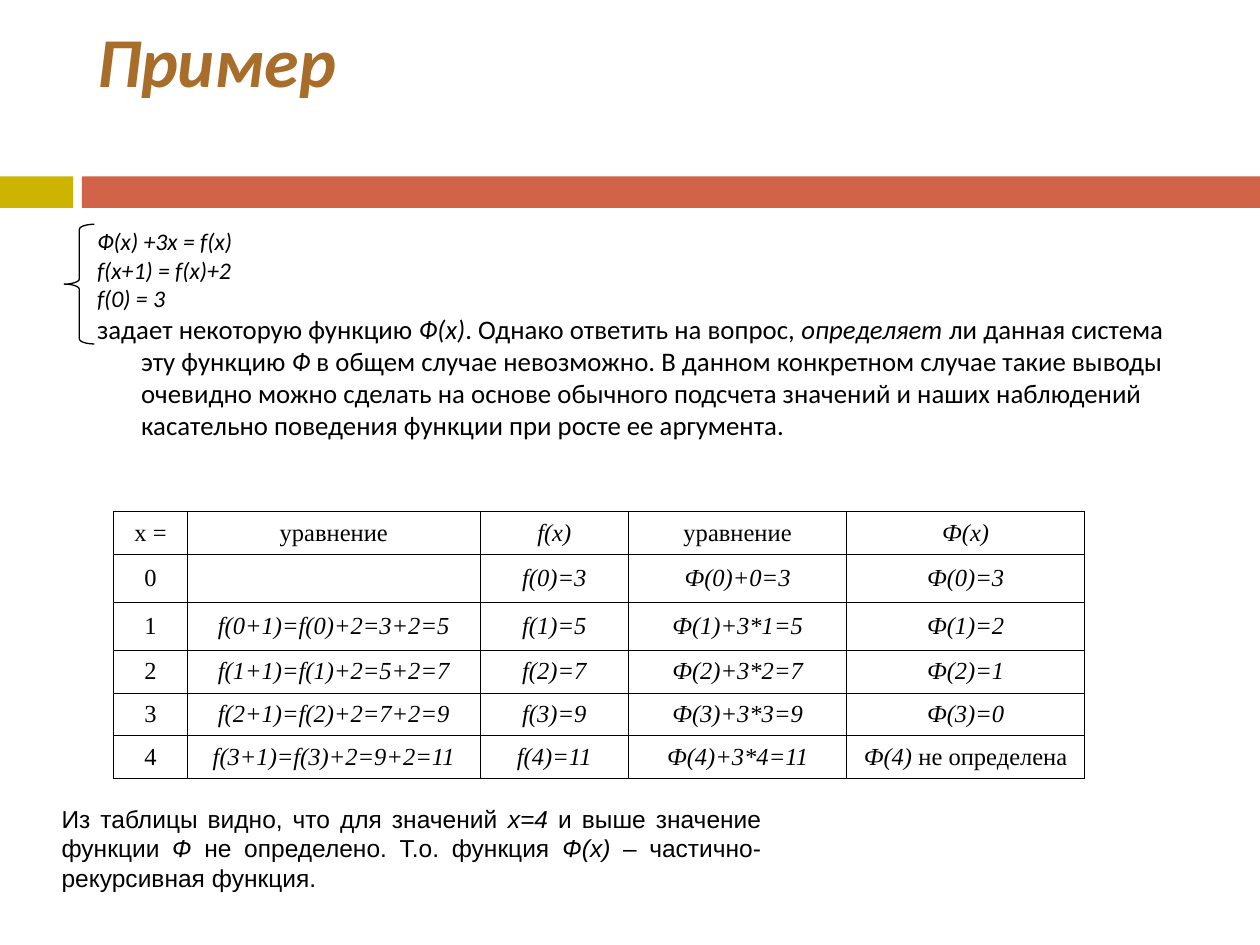
import pptx
import pptx.dml.color
import pptx.enum.shapes
import pptx.enum.text
import pptx.oxml
import pptx.oxml.ns
import pptx.util
from pptx.util import Inches

SHAPE = pptx.enum.shapes.MSO_SHAPE
ALIGN = pptx.enum.text.PP_ALIGN
ANCHOR = pptx.enum.text.MSO_ANCHOR
BLACK = "000000"


def color(value):
    return pptx.dml.color.RGBColor.from_string(value)


def box(*lengths):
    return [Inches(v) for v in lengths]


class SlideBuilder:
    """Holds the text style and the current slide."""

    def __init__(self, prs):
        self.slide = prs.slides.add_slide(prs.slide_layouts[1])
        self.font = "Calibri"

    def add_runs(self, p, text, size, fill=BLACK, bold=False):
        """Fill one paragraph; underscores enclose the italic parts."""
        for i, part in enumerate(text.split("_")):
            if part:
                r = p.add_run()
                r.text = part
                r.font.name, r.font.size = self.font, pptx.util.Pt(size)
                r.font.bold, r.font.italic = bold, i % 2 == 1
                r.font.color.rgb = color(fill)

    def bar(self, at, fill):
        sp = self.slide.shapes.add_shape(SHAPE.RECTANGLE, *box(*at))
        sp.shadow.inherit = False
        sp.fill.solid()
        sp.fill.fore_color.rgb = color(fill)
        sp.line.fill.background()

    def placeholder(self, idx, at):
        sp = self.slide.placeholders[idx]
        sp.left, sp.top, sp.width, sp.height = box(*at)
        tf = sp.text_frame
        tf.auto_size = pptx.enum.text.MSO_AUTO_SIZE.NONE
        tf.vertical_anchor = ANCHOR.TOP
        return tf

    def title(self, at, text, size, fill):
        tf = self.placeholder(0, at)
        tf.margin_top = 0
        p = tf.paragraphs[0]
        p.alignment = ALIGN.LEFT
        p.line_spacing = pptx.util.Pt(size)
        self.add_runs(p, text, size, fill, bold=True)

    def body(self, at, lines):
        tf = self.placeholder(1, at)
        for i, (text, size) in enumerate(lines):
            p = tf.add_paragraph() if i else tf.paragraphs[0]
            p.space_before = 0
            pPr = p._p.get_or_add_pPr()
            pPr.set("marL", str(Inches(0.35)))
            pPr.set("indent", str(-Inches(0.35)))
            pPr.append(pptx.oxml.parse_xml(
                f"<a:buNone {pptx.oxml.ns.nsdecls('a')}/>"))
            self.add_runs(p, text, size)

    def brace(self, at, width):
        sp = self.slide.shapes.add_shape(SHAPE.LEFT_BRACE, *box(*at))
        sp.shadow.inherit = False
        sp.adjustments[0] = 0.17
        sp.fill.background()
        sp.line.color.rgb = color(BLACK)
        sp.line.width = pptx.util.Pt(width)

    def borders(self, cell, width):
        tcPr = cell._tc.get_or_add_tcPr()
        for side in ("lnL", "lnR", "lnT", "lnB"):
            tcPr.append(pptx.oxml.parse_xml(
                f"<a:{side} {pptx.oxml.ns.nsdecls('a')} w='{pptx.util.Pt(width)}'>"
                f"<a:solidFill><a:srgbClr val='{BLACK}'/></a:solidFill></a:{side}>"))

    def table(self, left, top, widths, heights, rows, size):
        at = box(left, top, sum(widths), sum(heights))
        tbl = self.slide.shapes.add_table(len(rows), len(widths), *at).table
        tbl.first_row = tbl.horz_banding = False
        for col, width in zip(tbl.columns, widths):
            col.width = Inches(width)
        for row, height, texts in zip(tbl.rows, heights, rows):
            row.height = Inches(height)
            for cell, text in zip(row.cells, texts):
                self.borders(cell, 0.45)
                cell.fill.background()
                cell.vertical_anchor = ANCHOR.MIDDLE
                p = cell.text_frame.paragraphs[0]
                p.alignment = ALIGN.CENTER
                self.add_runs(p, text, size)
                if not text:  # keeps the empty cell from stretching its row
                    p._p.append(pptx.oxml.parse_xml(
                        f"<a:endParaRPr {pptx.oxml.ns.nsdecls('a')} sz='{size * 100}'/>"))

    def note(self, at, text, size):
        tf = self.slide.shapes.add_textbox(*box(*at)).text_frame
        tf.word_wrap = True
        tf.vertical_anchor = ANCHOR.MIDDLE
        p = tf.paragraphs[0]
        p.alignment = ALIGN.JUSTIFY
        self.add_runs(p, text, size)


def main():
    prs = pptx.Presentation()
    prs.slide_width, prs.slide_height = box(10, 7.5)
    s = SlideBuilder(prs)

    # Title and the two-colour band below it
    s.bar((0, 1.4, 0.58, 0.25), "CCB400")
    s.bar((0.65, 1.4, 9.35, 0.25), "D16349")
    s.title((0.67, 0.25, 8.92, 1.08), "_Пример_", 40, "A96D2B")

    # System of equations and its explanation
    s.body((0.67, 1.75, 8.74, 2), [
        ("_Ф(x) +3x = f(x)_", 13.6),
        ("_f(x+1) = f(x)+2_", 13.6),
        ("_f(0) = 3_", 13.6),
        ("задает некоторую функцию _Ф(x)_. Однако ответить на вопрос, "
         "_определяет_ ли данная система эту функцию _Ф_ в общем случае "
         "невозможно. В данном конкретном случае такие выводы очевидно можно "
         "сделать на основе обычного подсчета значений и наших наблюдений "
         "касательно поведения функции при росте ее аргумента.", 15.3),
    ])
    s.brace((0.51, 1.78, 0.24, 0.95), 0.75)

    # Table of values
    s.font = "Times New Roman"
    s.table(0.9, 4.06, (0.59, 2.32, 1.18, 1.73, 1.89),
            (0.34, 0.38, 0.38, 0.34, 0.34, 0.34), [
        ("x =", "уравнение", "_f(x)_", "уравнение", "_Ф(x)_"),
        ("0", "", "_f(0)=3_", "_Ф(0)+0=3_", "_Ф(0)=3_"),
        ("1", "_f(0+1)=f(0)+2=3+2=5_", "_f(1)=5_", "_Ф(1)+3*1=5_", "_Ф(1)=2_"),
        ("2", "_f(1+1)=f(1)+2=5+2=7_", "_f(2)=7_", "_Ф(2)+3*2=7_", "_Ф(2)=1_"),
        ("3", "_f(2+1)=f(2)+2=7+2=9_", "_f(3)=9_", "_Ф(3)+3*3=9_", "_Ф(3)=0_"),
        ("4", "_f(3+1)=f(3)+2=9+2=11_", "_f(4)=11_", "_Ф(4)+3*4=11_",
         "_Ф(4) _не определена"),
    ], 14)

    # Conclusion
    s.font = "Arial"
    s.note((0.39, 6.33, 5.75, 0.8),
           "Из таблицы видно, что для значений _x=4_ и выше значение функции "
           "_Ф_ не определено. Т.о. функция _Ф(х)_ – частично-рекурсивная "
           "функция.", 14)

    prs.save("out.pptx")


if __name__ == "__main__":
    main()
